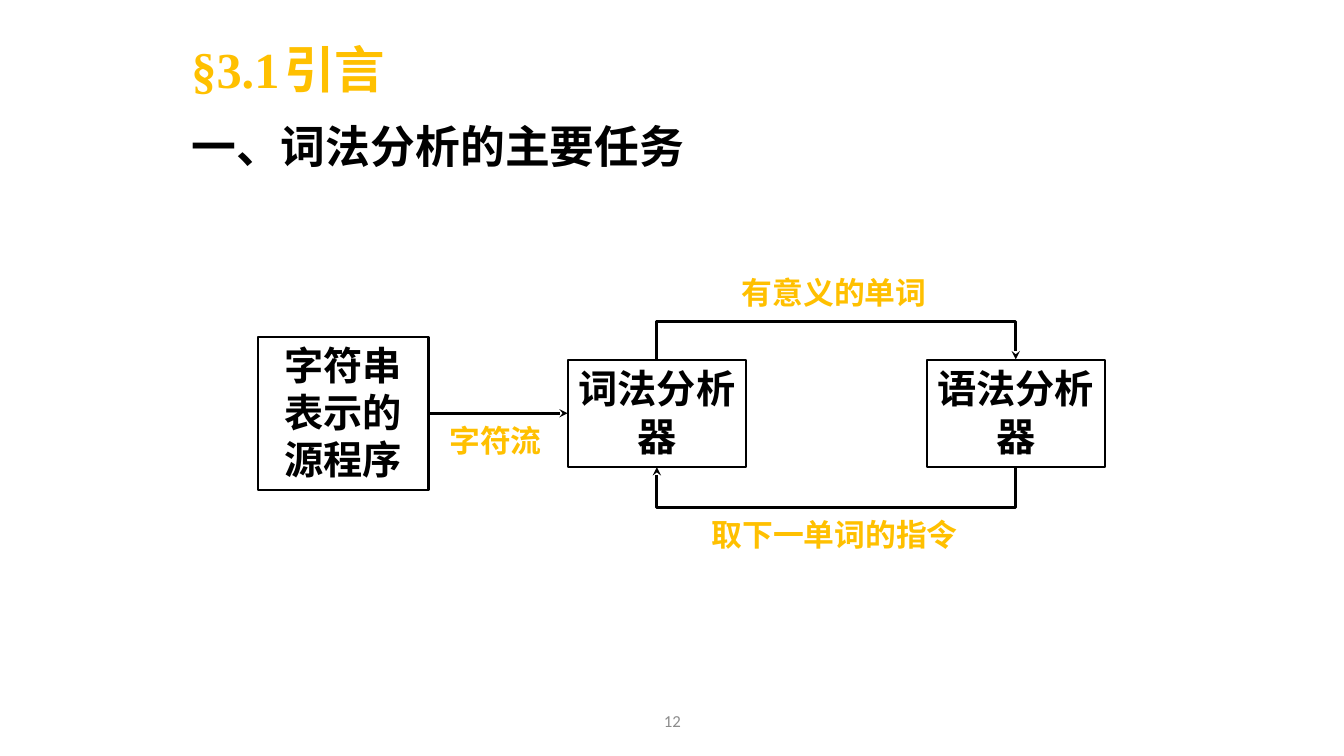
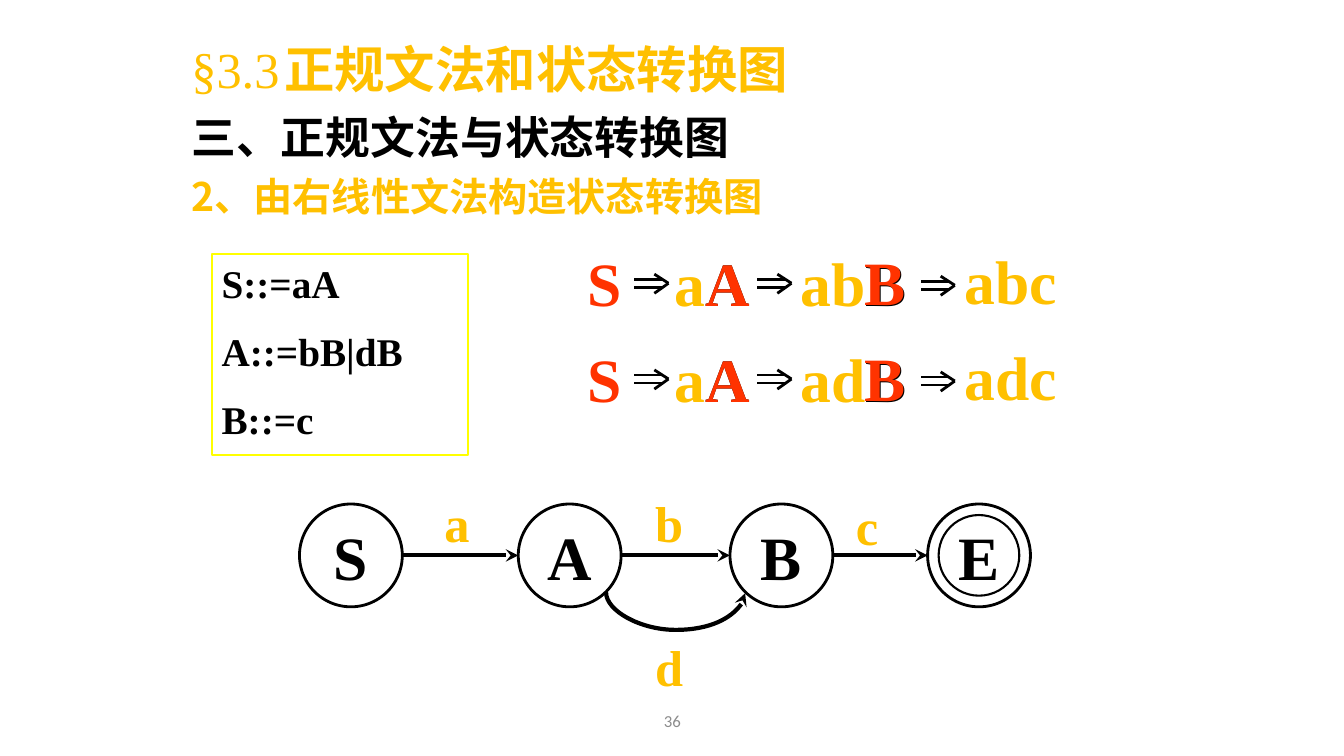
from lxml import etree
from pptx import Presentation
from pptx.dml.color import RGBColor
from pptx.enum.shapes import MSO_CONNECTOR, MSO_SHAPE
from pptx.enum.text import MSO_ANCHOR, PP_ALIGN
from pptx.oxml.ns import qn
from pptx.util import Inches, Pt

RECT, OVAL = MSO_SHAPE.RECTANGLE, MSO_SHAPE.OVAL
STRAIGHT, ELBOW, CURVE = MSO_CONNECTOR.STRAIGHT, MSO_CONNECTOR.ELBOW, MSO_CONNECTOR.CURVE
LEFT, CENTER = PP_ALIGN.LEFT, PP_ALIGN.CENTER
TOP, MIDDLE = MSO_ANCHOR.TOP, MSO_ANCHOR.MIDDLE

BLACK, GOLD, RED, YELLOW, GRAY = "000000", "FFC000", "FF3300", "FFFF00", "8C8C8C"
SERIF, SANS, CJK = "Times New Roman", "Calibri", "Noto Sans CJK SC"


def rgb(value):
    return RGBColor.from_string(value)


def grid(*cells):
    """Turn columns and rows of a 0.1 inch grid into lengths."""
    return [Inches(cell / 10) for cell in cells]


def add(parent, tag, **attributes):
    return etree.SubElement(parent, qn(tag), attributes)


class Deck:
    def __init__(self):
        self.prs = Presentation()
        self.prs.slide_width, self.prs.slide_height = Inches(13.33), Inches(7.5)
        self.slide = None

    def new_slide(self, number, title, headings, bold_number=True):
        """Start a slide with its section title, headings and page number."""
        self.slide = self.prs.slides.add_slide(self.prs.slide_layouts[6])
        self.text((44.2, 69.5, 45, 4), [str(number)], 12, GRAY, SANS,
                  bold=False, align=CENTER, anchor=MIDDLE)
        sp = self.slide.shapes.add_textbox(*grid(17.6, 2.1, 96.7, 16.2))
        tf = sp.text_frame
        tf.word_wrap = True
        lines = [("\t".join(title), 36, GOLD, SERIF, 0)] + headings
        for i, (text, size, color, font, before) in enumerate(lines):
            p = tf.paragraphs[0] if i == 0 else tf.add_paragraph()
            pPr = p._p.get_or_add_pPr()
            pPr.set("marL", str(Inches(0.46)))
            pPr.set("indent", str(Inches(-0.42)))
            if i == 0:
                add(add(pPr, "a:tabLst"), "a:tab", pos=str(Inches(1.54)), algn="l")
            p.line_spacing = 1.2
            p.space_before = Pt(before)
            self.style(p.font, size, color, font)
            pieces = [title[0], "\t" + title[1]] if i == 0 else [text]
            for piece in pieces:
                r = p.add_run()
                r.text = piece
            if i == 0:
                p.runs[0].font.bold = bold_number

    def style(self, font, size, color, name, bold=True):
        font.size, font.name, font.bold = Pt(size), name, bold
        font.color.rgb = rgb(color)

    def fill_text(self, sp, paragraphs, size, color, font, bold=True,
                  align=LEFT, anchor=TOP, wrap=True, before=0):
        """Write paragraphs; each is a string or a list of (text, colour) runs."""
        tf = sp.text_frame
        tf.word_wrap, tf.vertical_anchor = wrap, anchor
        for i, runs in enumerate(paragraphs):
            p = tf.paragraphs[0] if i == 0 else tf.add_paragraph()
            p.alignment = align
            p.space_before = Pt(before if i else 0)
            self.style(p.font, size, color, font, bold)
            for text, run_color in [(runs, color)] if isinstance(runs, str) else runs:
                r = p.add_run()
                r.text = text
                if run_color != color:
                    r.font.color.rgb = rgb(run_color)

    def text(self, box, paragraphs, size, color, font, **options):
        sp = self.slide.shapes.add_textbox(*grid(*box))
        self.fill_text(sp, paragraphs, size, color, font, **options)

    def outline(self, kind, box, color=BLACK, width=1.5):
        sp = self.slide.shapes.add_shape(kind, *grid(*box))
        sp.shadow.inherit = False
        sp.fill.background()
        sp.line.color.rgb, sp.line.width = rgb(color), Pt(width)
        return sp

    def line(self, start, end, width=2, head=True, kind=STRAIGHT, shapes=None):
        shapes = shapes or self.slide.shapes
        cx = shapes.add_connector(kind, *grid(*start, *end))
        cx.line.color.rgb, cx.line.width = rgb(BLACK), Pt(width)
        spPr = cx._element.spPr
        if head:
            add(spPr.find(qn("a:ln")), "a:tailEnd", type="stealth")
        add(spPr, "a:effectLst")
        return cx

    def loop(self, kind, x1, x2, y, depth, turn, flip=False, width=2):
        """Join two points of one row by a connector that leaves the row by depth."""
        thin, span = 0.1, x2 - x1
        middle = (x1 + x2) / 2
        cx = self.line((middle - thin / 2, y - span / 2),
                       (middle + thin / 2, y + span / 2), width, kind=kind)
        xfrm = cx._element.spPr.find(qn("a:xfrm"))
        xfrm.set("rot", str(turn * 60000))
        if flip:
            xfrm.set("flipH", "1")
        geometry = cx._element.spPr.find(qn("a:prstGeom"))
        guides = geometry.find(qn("a:avLst"))
        if guides is None:
            guides = add(geometry, "a:avLst")
        add(guides, "a:gd", name="adj1", fmla=f"val {round(depth / thin * 100000)}")

    def double_arrow(self, x, y):
        group = self.slide.shapes.add_group_shape()
        tip = x + 3.4
        for start, end in [((tip - 1.4, y + 1), (tip, y)),
                           ((tip, y), (tip - 1.4, y - 0.9)),
                           ((tip - 0.6, y + 0.4), (x, y + 0.4)),
                           ((tip - 0.6, y - 0.4), (x, y - 0.4))]:
            self.line(start, end, head=False, shapes=group.shapes)

    def derivation(self, y, middle):
        """Derive a + middle + c from S, with the nonterminals picked out in red."""
        pieces = [(57.3, 0, 5.5, [("S", RED)]),
                  (65.9, 0, 11.6, [("a", GOLD), ("A", BLACK)]),
                  (69, 0, 4.9, [("A", RED)]),
                  (78.4, 0, 17.3, [("a" + middle, GOLD), ("B", BLACK)]),
                  (84.8, -0.1, 6.4, [("B", RED)]),
                  (94.7, -0.2, 11.4, [(f"a{middle}c", GOLD)])]
        for x, shift, width, runs in pieces:
            self.text((x, y + shift, width, 8.3), [runs], 44, GOLD, SERIF)
        for x, drop in [(62.9, 4.3), (75.1, 4.3), (91.3, 4.5)]:
            self.double_arrow(x, y + drop)


def lexer_slide(deck):
    deck.new_slide(12, ("§3.1", "引言"),
                   [("一、词法分析的主要任务", 32, BLACK, SERIF, 6.4)])
    lexer, parser, box_top, box_width, box_height = 56.3, 91.9, 35.7, 17.7, 10.6
    for label, box in [("字符串表示的源程序", (25.6, 33.4, 16.9, 15.2)),
                       ("词法分析器", (lexer, box_top, box_width, box_height)),
                       ("语法分析器", (parser, box_top, box_width, box_height))]:
        deck.fill_text(deck.outline(RECT, box), [label], 28, BLACK, SANS, align=CENTER)
    for label, x, y, width in [("字符流", 43.6, 41.3, 13.1),
                               ("有意义的单词", 72.6, 26.7, 22.9),
                               ("取下一单词的指令", 69.6, 50.7, 28.5)]:
        deck.text((x, y, width, 4.7), [label], 22, GOLD, SANS)
    deck.line((42.6, 41), (lexer, 41))
    ends = lexer + box_width / 2, parser + box_width / 2
    deck.loop(ELBOW, *ends, box_top, 3.9, 270)
    deck.loop(ELBOW, *ends, box_top + box_height, 4.2, 90)


def grammar_slide(deck):
    deck.new_slide(36, ("§3.3", "正规文法和状态转换图"),
                   [("三、正规文法与状态转换图", 32, BLACK, SERIF, 0),
                    ("2、由右线性文法构造状态转换图", 28, GOLD, CJK, 0)],
                   bold_number=False)
    rules = deck.outline(RECT, (21, 25.2, 25.4, 19.9), YELLOW)
    deck.fill_text(rules, ["S::=aA", "A::=bB|dB", "B::=c"], 28, BLACK, SERIF, before=15)
    deck.derivation(23.8, "b")
    deck.derivation(33.3, "d")

    top, size = 50, 10.2
    states = {"S": 29.7, "A": 51.4, "B": 72.4, "E": 92}
    for name, x in states.items():
        sp = deck.outline(OVAL, (x, top, size, size), width=2)
        deck.fill_text(sp, [name], 44, BLACK, SERIF, align=CENTER,
                       anchor=MIDDLE, wrap=False)
    deck.outline(OVAL, (states["E"] + 1.1, top + 1.1, size - 2.2, size - 2.2))
    columns = list(states.values())
    for x, following in zip(columns, columns[1:]):
        deck.line((x + size, top + size / 2), (following, top + size / 2), 3)
    deck.loop(CURVE, 60.1, 73.9, 58.8, 3.8, 270, flip=True, width=3)
    for label, x, y in [("a", 43.1, 48.3), ("b", 64, 48.3),
                        ("c", 83.9, 48.6), ("d", 64, 62.6)]:
        deck.text((x, y, 5.3, 7), [label], 36, GOLD, SERIF)


def main():
    deck = Deck()
    lexer_slide(deck)
    grammar_slide(deck)
    deck.prs.save("out.pptx")


if __name__ == "__main__":
    main()
